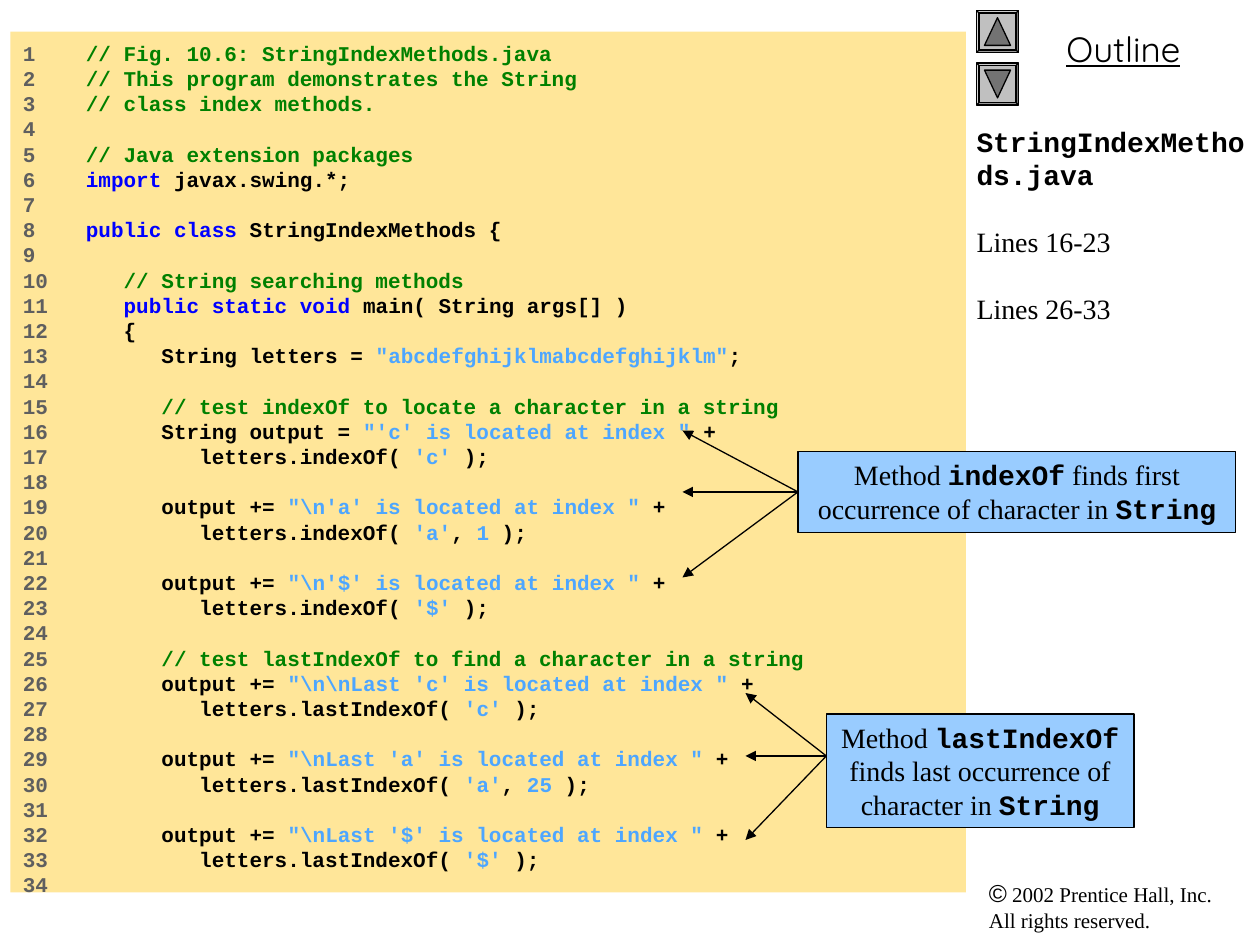
from lxml import etree
from pptx import Presentation
from pptx import util as u
from pptx.dml.color import RGBColor
from pptx.enum import shapes, text
from pptx.oxml import ns

# The slide is a grid of 120 columns by 90 rows
CELL = u.Inches(10) / 120

BLACK = RGBColor(0x00, 0x00, 0x00)
PANEL = RGBColor(0xFF, 0xE6, 0x99)
CALLOUT = RGBColor(0x99, 0xCC, 0xFF)
BUTTON = RGBColor(0xC0, 0xC0, 0xC0)
BUTTON_ARROW = RGBColor(0x73, 0x73, 0x73)
LINE_NUMBER = RGBColor(0x5F, 0x5F, 0x5F)
COMMENT = RGBColor(0x00, 0x80, 0x00)
KEYWORD = RGBColor(0x00, 0x00, 0xFF)
LITERAL = RGBColor(0x4D, 0xA6, 0xFF)

SERIF, MONO = "Times New Roman", "Courier New"
KEYWORDS = ("import", "public class", "public static void")

# Lines of code; backticks enclose the literals
CODE = [
    "// Fig. 10.6: StringIndexMethods.java",
    "// This program demonstrates the String",
    "// class index methods.",
    "",
    "// Java extension packages",
    "import javax.swing.*;",
    "",
    "public class StringIndexMethods {",
    "",
    "   // String searching methods",
    "   public static void main( String args[] )",
    "   {",
    '      String letters = `"abcdefghijklmabcdefghijklm"`;',
    "",
    "      // test indexOf to locate a character in a string",
    '''      String output = `"'c' is located at index "` +''',
    "         letters.indexOf( `'c'` );",
    "",
    r'''      output += `"\n'a' is located at index "` +''',
    "         letters.indexOf( `'a'`, `1` );",
    "",
    r'''      output += `"\n'$' is located at index "` +''',
    "         letters.indexOf( `'$'` );",
    "",
    "      // test lastIndexOf to find a character in a string",
    r'''      output += `"\n\nLast 'c' is located at index "` +''',
    "         letters.lastIndexOf( `'c'` );",
    "",
    r'''      output += `"\nLast 'a' is located at index "` +''',
    "         letters.lastIndexOf( `'a'`, `25` );",
    "",
    r'''      output += `"\nLast '$' is located at index "` +''',
    "         letters.lastIndexOf( `'$'` );",
    "",
]


def grid(*cells):
    return [u.Emu(round(cell * CELL)) for cell in cells]


def add_run(paragraph, words, font, size, color=BLACK, bold=False):
    run = paragraph.add_run()
    run.text = words
    run.font.name, run.font.size, run.font.bold = font, u.Pt(size), bold
    run.font.color.rgb = color
    return run


def set_frame(shape, left=0.1, top=0.05):
    frame = shape.text_frame
    frame.word_wrap = True
    frame.auto_size = text.MSO_AUTO_SIZE.NONE
    frame.vertical_anchor = text.MSO_ANCHOR.TOP
    frame.margin_left, frame.margin_top = u.Inches(left), u.Inches(top)
    frame.margin_right, frame.margin_bottom = u.Inches(0.1), u.Inches(0.05)
    return frame


def add_block(slide, kind, box, fill, outlined=True):
    shape = slide.shapes.add_shape(kind, *grid(*box))
    shape.shadow.inherit = False
    shape.fill.solid()
    shape.fill.fore_color.rgb = fill
    if outlined:
        shape.line.color.rgb = BLACK
        shape.line.width = u.Pt(0.75)
    else:
        shape.line.fill.background()
    return shape


def split_code(line):
    """Yield the coloured pieces of one line of code."""
    body = line.lstrip()
    indent = line[:len(line) - len(body)]
    if body.startswith("//"):
        yield line, COMMENT
        return
    for keyword in KEYWORDS:
        if body.startswith(keyword):
            yield indent + keyword, KEYWORD
            line = body[len(keyword):]
    for index, piece in enumerate(line.split("`")):
        yield piece, LITERAL if index % 2 else BLACK


def add_code(slide, box):
    panel = add_block(slide, shapes.MSO_SHAPE.RECTANGLE, box, PANEL, outlined=False)
    frame = set_frame(panel, top=0.07)
    for number, line in enumerate(CODE, 1):
        paragraph = frame.paragraphs[0] if number == 1 else frame.add_paragraph()
        paragraph.alignment = text.PP_ALIGN.LEFT
        paragraph.line_spacing = u.Pt(14.4)
        label = f"{number:<5}" if line else str(number)
        add_run(paragraph, label, MONO, 12, LINE_NUMBER, True)
        for piece, color in split_code(line):
            if piece:
                add_run(paragraph, piece, MONO, 12, color, True)


def add_title(slide, box):
    title = slide.shapes.title
    title.left, title.top, title.width, title.height = grid(*box)
    frame = set_frame(title, left=0, top=0.07)
    entries = [("StringIndexMethods.java", MONO), ("Lines 16-23", SERIF), ("Lines 26-33", SERIF)]
    for index, (words, font) in enumerate(entries):
        paragraph = frame.add_paragraph() if index else frame.paragraphs[0]
        paragraph.alignment = text.PP_ALIGN.LEFT
        paragraph.line_spacing = u.Pt(19.1)
        paragraph.space_before = u.Pt(19.1 if index else 0)
        add_run(paragraph, words, font, 16, bold=font == MONO)


def add_button(slide, box, rotation):
    left, top, width, height = box
    bevel = add_block(slide, shapes.MSO_SHAPE.BEVEL, box, BUTTON)
    bevel.adjustments[0] = 0.06
    inner = (left + width * 0.19, top + height * 0.17, width * 0.62, height * 0.66)
    arrow = add_block(slide, shapes.MSO_SHAPE.ISOSCELES_TRIANGLE, inner, BUTTON_ARROW)
    arrow.rotation = rotation


def add_outline(slide, box):
    frame = set_frame(slide.shapes.add_textbox(*grid(*box)))
    paragraph = frame.paragraphs[0]
    paragraph.alignment = text.PP_ALIGN.CENTER
    add_run(paragraph, "Outline", "Quicksand", 20).font.underline = True


def add_copyright(slide, box):
    frame = set_frame(slide.shapes.add_textbox(*grid(*box)))
    paragraph = frame.paragraphs[0]
    add_run(paragraph, "©", "Arial", 14)
    add_run(paragraph, " 2002 Prentice Hall, Inc.", SERIF, 12)
    paragraph.add_line_break()
    add_run(paragraph, "All rights reserved.", SERIF, 12)


def add_arrow(slide, start, tip):
    connector = slide.shapes.add_connector(
        shapes.MSO_CONNECTOR.STRAIGHT, *grid(*start, *tip))
    connector.line.color.rgb = BLACK
    connector.line.width = u.Pt(0.75)
    line = connector.line._get_or_add_ln()
    etree.SubElement(line, ns.qn("a:tailEnd"), type="triangle")
    etree.SubElement(connector._element.spPr, ns.qn("a:effectLst"))
    return connector


def add_callout(slide, box, method, order, start_share, tip_column, tip_rows):
    left, top, _, height = box
    callout = add_block(slide, shapes.MSO_SHAPE.RECTANGLE, box, CALLOUT)
    paragraph = set_frame(callout).paragraphs[0]
    paragraph.alignment = text.PP_ALIGN.CENTER
    add_run(paragraph, "Method ", SERIF, 16)
    add_run(paragraph, method, MONO, 16, bold=True)
    add_run(paragraph, f" finds {order} occurrence of character in ", SERIF, 16)
    add_run(paragraph, "String", MONO, 16, bold=True)

    # A level arrow between two slanted ones
    start_row = top + height * start_share
    for row in (start_row, *tip_rows):
        arrow = add_arrow(slide, (left, start_row), (tip_column, row))
        if start_share == 0.5:
            arrow.begin_connect(callout, 1)


def main():
    presentation = Presentation()
    presentation.slide_width, presentation.slide_height = grid(120, 90)
    slide = presentation.slides.add_slide(presentation.slide_layouts[5])

    # Side column
    add_copyright(slide, (93, 83, 26, 6.5))
    add_outline(slide, (94, 2, 26, 5.3))
    for top, rotation in ((1, 0), (6, 180)):
        add_button(slide, (93, top, 4, 4), rotation)
    add_title(slide, (93, 11, 27, 72))

    # Code listing and its callouts
    add_code(slide, (1, 3, 91, 82))
    add_callout(slide, (76, 43, 41.7, 7.7), "indexOf", "first", 0.5, 65, (41, 55))
    add_callout(slide, (78.7, 68, 29.3, 10.8), "lastIndexOf", "last", 0.37, 71, (66, 80))
    presentation.save("out.pptx")


if __name__ == "__main__":
    main()
